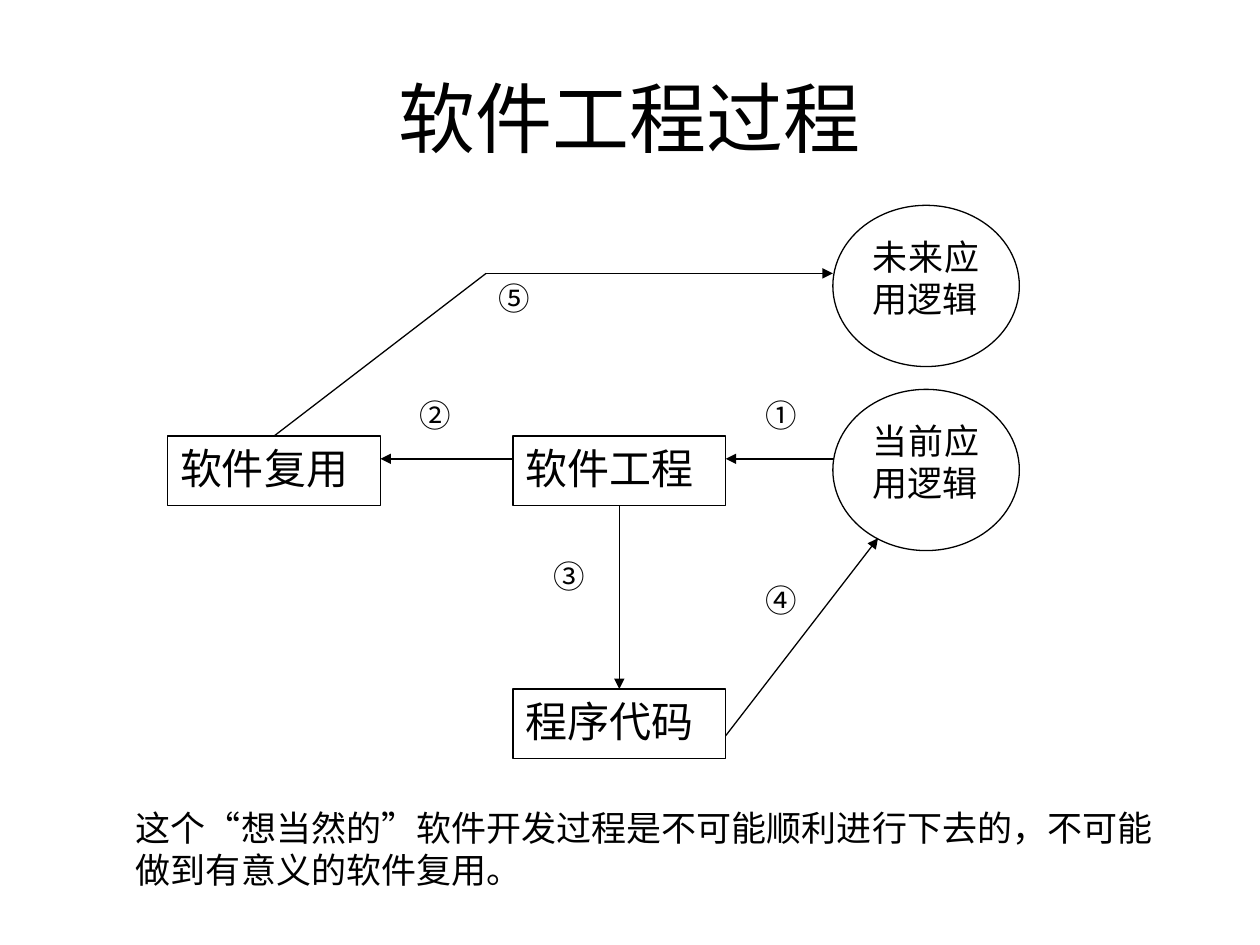
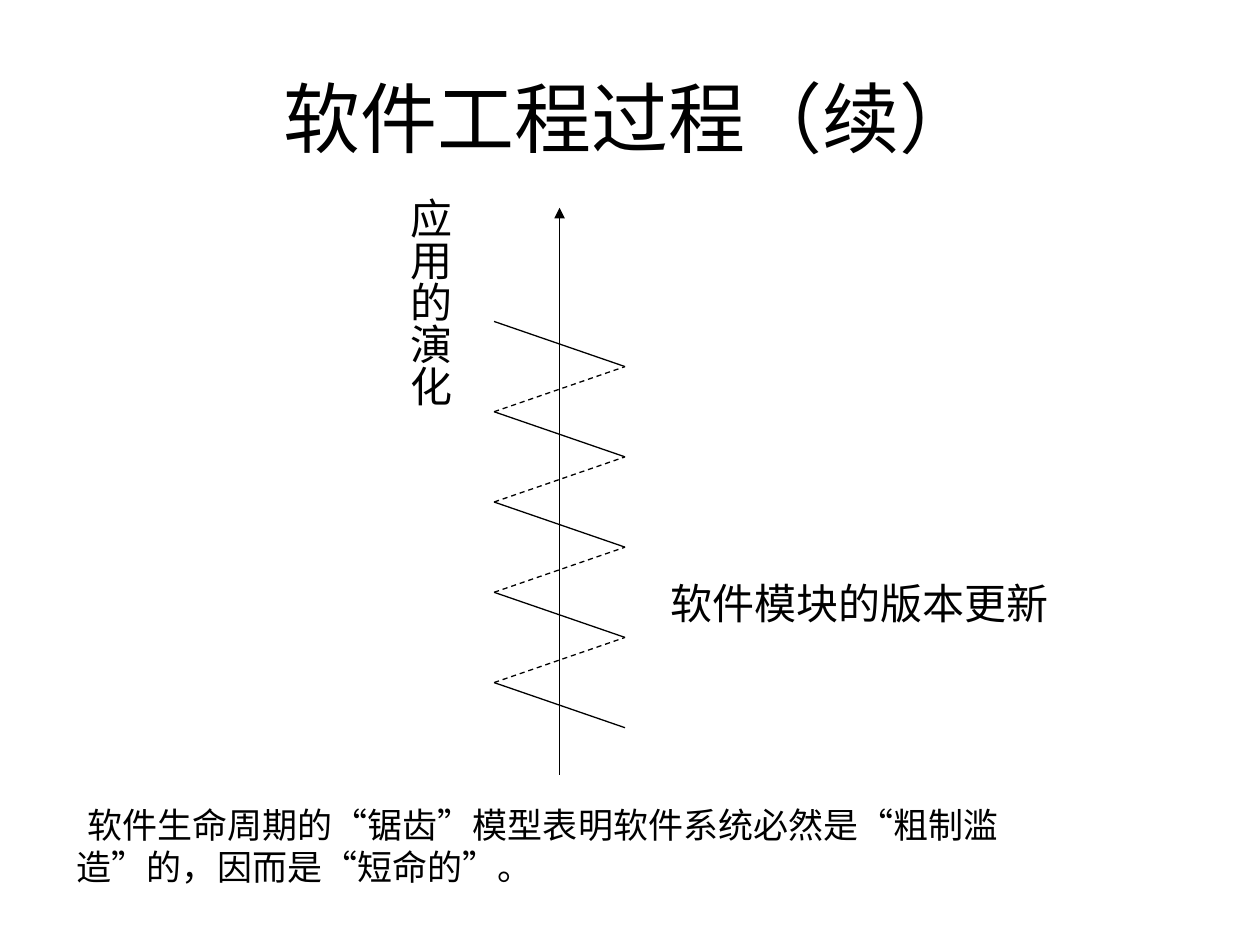
from dataclasses import dataclass

from pptx import Presentation
from pptx.dml.color import RGBColor
from pptx.enum import dml, shapes, text
from pptx.oxml.ns import qn
from pptx.util import Cm, Pt

COLORS = {"ink": "000000", "paper": "FFFFFF"}
SERIF, SANS, CJK = "Times New Roman", "Arial", "Noto Sans CJK SC"
LINE_WIDTH = Pt(0.75)
RECT, OVAL = shapes.MSO_SHAPE.RECTANGLE, shapes.MSO_SHAPE.OVAL
LEFT, JUSTIFY = text.PP_ALIGN.LEFT, text.PP_ALIGN.JUSTIFY


@dataclass
class Box:
    """A white shape with text; lengths in centimetres."""
    text: str
    x: float
    y: float
    w: float
    h: float = 1.4
    size: int = 24
    font: str = SERIF
    kind: int = RECT
    border: str = "paper"
    align: int = JUSTIFY
    vertical: bool = False
    indent: float = 0


@dataclass
class Line:
    """A straight line; lengths in centimetres."""
    x1: float
    y1: float
    x2: float
    y2: float
    arrow: bool = False
    dashed: bool = False


def rgb(name: str) -> RGBColor:
    return RGBColor.from_string(COLORS[name])


def set_text(sp, content: str, size: int, font: str, align: int) -> None:
    tf = sp.text_frame
    tf.word_wrap = True
    tf.text = content
    p = tf.paragraphs[0]
    p.alignment = align
    r = p.runs[0]
    r.font.size = Pt(size)
    r.font.name = font
    r.font.color.rgb = rgb("ink")
    ea = r.font._element.makeelement(qn("a:ea"), {"typeface": CJK})
    r.font._element.find(qn("a:latin")).addnext(ea)


def draw_box(slide, box: Box) -> None:
    sp = slide.shapes.add_shape(box.kind, Cm(box.x), Cm(box.y), Cm(box.w), Cm(box.h))
    sp.shadow.inherit = False
    sp.fill.solid()
    sp.fill.fore_color.rgb = rgb("paper")
    sp.line.color.rgb = rgb(box.border)
    sp.line.width = LINE_WIDTH
    set_text(sp, box.text, box.size, box.font, box.align)
    tf = sp.text_frame
    tf.vertical_anchor = text.MSO_ANCHOR.TOP
    if box.vertical:
        tf._txBody.bodyPr.set("vert", "eaVert")
        tf.margin_left = tf.margin_right = Cm(0.13)
        tf.margin_top = tf.margin_bottom = Cm(0.25)
    if box.indent:
        tf.paragraphs[0]._p.get_or_add_pPr().set("indent", str(Cm(box.indent)))


def draw_line(slide, line: Line) -> None:
    cx = slide.shapes.add_connector(shapes.MSO_CONNECTOR.STRAIGHT, Cm(line.x1),
                                    Cm(line.y1), Cm(line.x2), Cm(line.y2))
    cx.line.color.rgb = rgb("ink")
    cx.line.width = LINE_WIDTH
    if line.dashed:
        cx.line.dash_style = dml.MSO_LINE.DASH
    spPr = cx._element.spPr
    if line.arrow:
        ln = cx.line._get_or_add_ln()
        ln.append(ln.makeelement(qn("a:tailEnd"), {"type": "triangle"}))
    spPr.append(spPr.makeelement(qn("a:effectLst"), {}))


def add_slide(prs, title: str, boxes: list[Box], lines: list[Line]) -> None:
    slide = prs.slides.add_slide(prs.slide_layouts[6])
    sp = slide.shapes.add_textbox(Cm(1.27), Cm(0.76), Cm(22.86), Cm(3.18))
    set_text(sp, title, 44, SANS, text.PP_ALIGN.CENTER)
    sp.text_frame.vertical_anchor = text.MSO_ANCHOR.MIDDLE
    for box in boxes:
        draw_box(slide, box)
    for line in lines:
        draw_line(slide, line)


def process_slide(prs) -> None:
    # Grid of the flow chart
    reuse_x, engineering_x, logic_x = 3.38, 10.34, 16.79
    box_w, box_h = 4.29, 1.4
    row_y, code_y, future_y, current_y = 8.79, 13.89, 4.14, 7.85
    arrow_y, bend_x, bend_y = 9.25, 9.8, 5.51
    engineering_right = engineering_x + box_w
    engineering_mid = engineering_x + box_w / 2

    # Step numbers, then boxes and circles
    steps = [("⑤", bend_x, bend_y), ("④", 15.19, 11.58), ("③", 10.9, 11.1),
             ("②", 8.2, current_y), ("①", 15.19, current_y)]
    stages = [("软件工程", engineering_x, row_y), ("软件复用", reuse_x, row_y),
              ("程序代码", engineering_x, code_y)]
    logics = [("当前应用逻辑", current_y), ("未来应用逻辑", future_y)]
    boxes = [Box(n, x, y, 1.61, size=18, font=CJK) for n, x, y in steps]
    boxes += [Box(t, x, y, box_w, box_h, border="ink") for t, x, y in stages]
    boxes += [Box(t, logic_x, y, 3.76, 3.25, 20, kind=OVAL, border="ink")
              for t, y in logics]
    boxes.append(Box("这个“想当然的”软件开发过程是不可能顺利进行下去的，"
                     "不可能做到有意义的软件复用。",
                     2.49, 16.13, 21.21, size=20, align=LEFT))

    # Arrows
    lines = [
        Line(logic_x, arrow_y, engineering_right, arrow_y, arrow=True),
        Line(engineering_x, arrow_y, reuse_x + box_w, arrow_y, arrow=True),
        Line(engineering_mid, row_y + box_h, engineering_mid, code_y, arrow=True),
        Line(bend_x, bend_y, reuse_x + box_w / 2, row_y),
        Line(bend_x, bend_y, logic_x, bend_y, arrow=True),
        Line(engineering_right, 14.83, 17.7, 10.85, arrow=True),
    ]
    add_slide(prs, "软件工程过程", boxes, lines)


def sawtooth_slide(prs) -> None:
    boxes = [
        Box("应用的演化", 7.32, 3.73, 1.98, 5.03, vertical=True),
        Box("软件生命周期的“锯齿”模型表明软件系统必然是“粗制滥造”的，"
            "因而是“短命的”。", 1.3, 16.08, 20.57, size=20, align=LEFT, indent=0.21),
        Box("软件模块的版本更新", 13.26, 11.51, 8.61),
    ]

    # Axis, then teeth: solid falling strokes and dashed returns
    tooth_left, tooth_right, tooth_top, rise = 9.96, 12.6, 6.48, 0.91
    axis_x = (tooth_left + tooth_right) / 2
    lines = [Line(axis_x, 15.62, axis_x, 4.19, arrow=True)]
    for i in range(9):
        y = tooth_top + i * rise
        dashed = i % 2 == 1
        top_x, bottom_x = ((tooth_right, tooth_left) if dashed
                           else (tooth_left, tooth_right))
        lines.append(Line(bottom_x, y + rise, top_x, y, dashed=dashed))
    add_slide(prs, "软件工程过程（续）", boxes, lines)


def main() -> None:
    prs = Presentation()
    prs.slide_width, prs.slide_height = Cm(25.4), Cm(19.05)
    process_slide(prs)
    sawtooth_slide(prs)
    prs.save("out.pptx")


if __name__ == "__main__":
    main()
